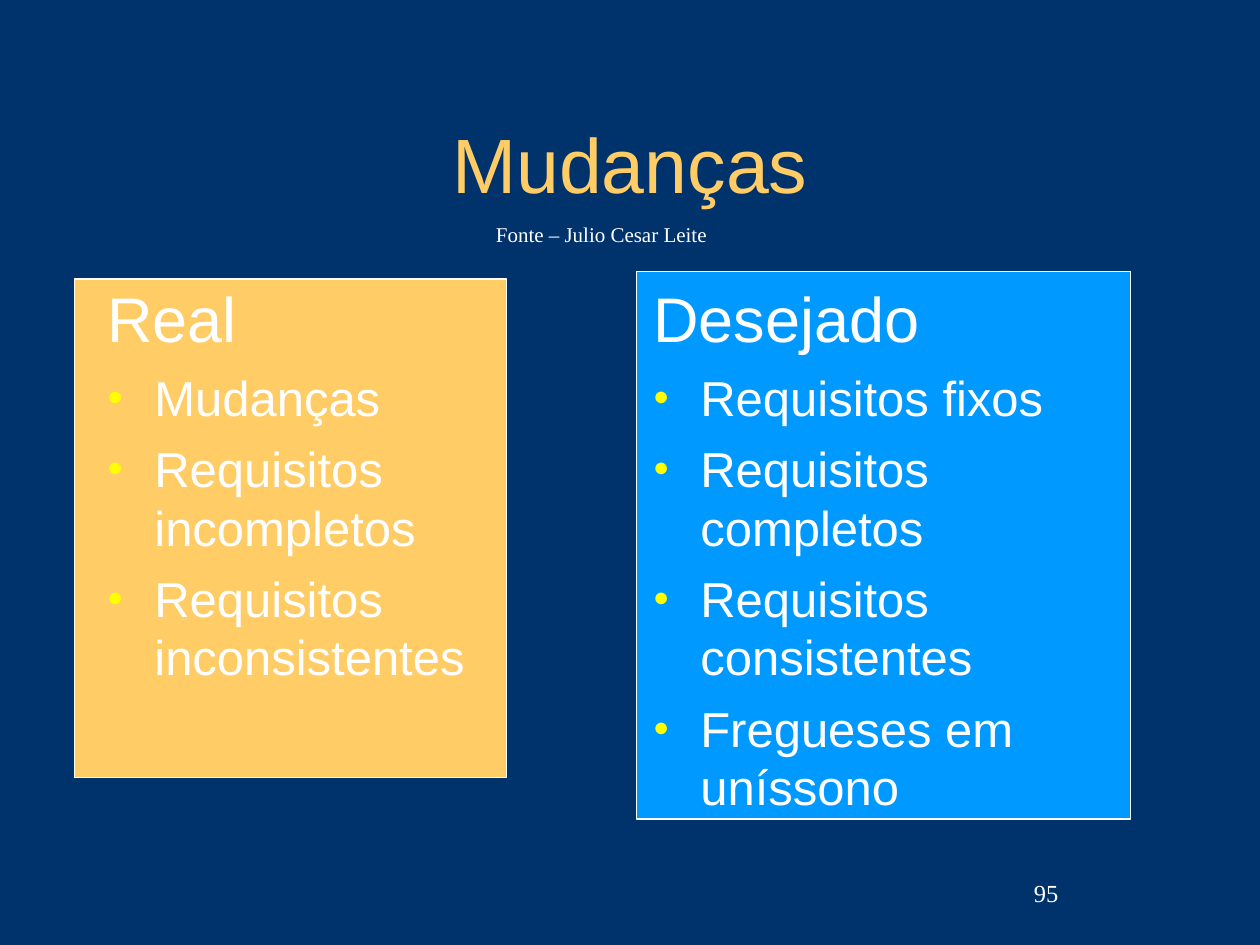
import pptx
import pptx.dml.color
import pptx.enum.shapes
import pptx.enum.text
import pptx.oxml
import pptx.oxml.ns
import pptx.util

Pt = pptx.util.Pt
ALIGN = pptx.enum.text.PP_ALIGN
ANCHOR = pptx.enum.text.MSO_ANCHOR
COLORS = {"night": "00336B", "sand": "FFCC66", "sky": "0099FF",
          "white": "FFFFFF", "bullet": "FFFF00"}


def color(name):
    """Return the named palette colour."""
    return pptx.dml.color.RGBColor.from_string(COLORS[name])


def write(para, text, size=28, font="Arial", ink="white", align=ALIGN.LEFT,
          before=0):
    """Write one formatted span into a paragraph."""
    para.alignment = align
    para.space_before = Pt(before)
    para.space_after = Pt(0)
    para.line_spacing = 1.0
    span = para.add_run()
    span.text = text
    span.font.size = Pt(size)
    span.font.name = font
    span.font.color.rgb = color(ink)


def set_bullet(para, bulleted):
    """Give a paragraph its hanging indent and a bullet, or none."""
    properties = para._p.get_or_add_pPr()
    properties.set("marL", str(Pt(27)))
    properties.set("indent", str(Pt(-27)))
    namespace = pptx.oxml.ns.nsdecls("a")
    marks = ["<a:buNone {}/>"]
    if bulleted:
        marks = ['<a:buClr {}><a:srgbClr val="' + COLORS["bullet"] + '"/></a:buClr>',
                 '<a:buSzPct {} val="55000"/>',
                 '<a:buFont {} typeface="Arial"/>',
                 '<a:buChar {} char="●"/>']
    for mark in marks:
        properties.append(pptx.oxml.parse_xml(mark.format(namespace)))


class SlideBuilder:
    """Hold the style and the current slide."""

    def __init__(self, page):
        """Start on a page and colour its background."""
        self.page = page
        page.background.fill.solid()
        page.background.fill.fore_color.rgb = color("night")

    def frame(self, box, place, anchor=ANCHOR.TOP, wrap=True):
        """Place a text shape and return its prepared text frame."""
        box.left, box.top, box.width, box.height = map(Pt, place)
        frame = box.text_frame
        frame.auto_size = pptx.enum.text.MSO_AUTO_SIZE.NONE
        frame.word_wrap = wrap
        frame.vertical_anchor = anchor
        frame.margin_left = frame.margin_right = Pt(7.2)
        frame.margin_top = frame.margin_bottom = Pt(3.6)
        return frame

    def title(self, text, place):
        """Fill the title placeholder."""
        frame = self.frame(self.page.shapes.title, place, ANCHOR.MIDDLE)
        write(frame.paragraphs[0], text, size=44, ink="sand", align=ALIGN.CENTER)

    def panel(self, fill, place):
        """Draw an outlined panel behind the text."""
        shapes = self.page.shapes
        box = shapes.add_shape(pptx.enum.shapes.MSO_SHAPE.RECTANGLE, *map(Pt, place))
        box.shadow.inherit = False
        box.fill.solid()
        box.fill.fore_color.rgb = color(fill)
        box.line.color.rgb = color("white")
        box.line.width = Pt(0.74)
        shapes.element.insert(2, box.element)

    def column(self, index, heading, items, place):
        """Fill a body placeholder with a heading and bulleted items."""
        frame = self.frame(self.page.placeholders[index], place)
        for number, text in enumerate([heading, *items]):
            para = frame.paragraphs[0] if number == 0 else frame.add_paragraph()
            write(para, text, size=28 if number else 36,
                  before=7 if number else 9)
            set_bullet(para, number > 0)

    def label(self, text, place, anchor=ANCHOR.TOP, wrap=True, **style):
        """Add a free text box."""
        box = self.page.shapes.add_textbox(*map(Pt, place))
        frame = self.frame(box, place, anchor, wrap)
        write(frame.paragraphs[0], text, font="Times New Roman", **style)


def main():
    """Build and save the slide."""
    deck = pptx.Presentation()
    deck.slide_width, deck.slide_height = Pt(720), Pt(540)
    slide = SlideBuilder(deck.slides.add_slide(deck.slide_layouts[3]))
    slide.title("Mudanças", (54, 48, 612, 90))
    slide.panel("sky", (363.6, 155, 282.5, 313))
    slide.panel("sand", (42.4, 159.5, 247, 285))
    slide.column(1, "Real",
                 ["Mudanças", "Requisitos incompletos", "Requisitos inconsistentes"],
                 (54, 156, 300, 324))
    slide.column(2, "Desejado",
                 ["Requisitos fixos", "Requisitos completos",
                  "Requisitos consistentes", "Fregueses em uníssono"],
                 (366, 156, 300, 324))
    slide.label("Fonte – Julio Cesar Leite", (276.3, 123, 137.5, 21.6),
                wrap=False, size=12)
    slide.label("95", (462, 492, 150, 36), anchor=ANCHOR.MIDDLE,
                size=14, align=ALIGN.RIGHT)
    deck.save("out.pptx")


main()
